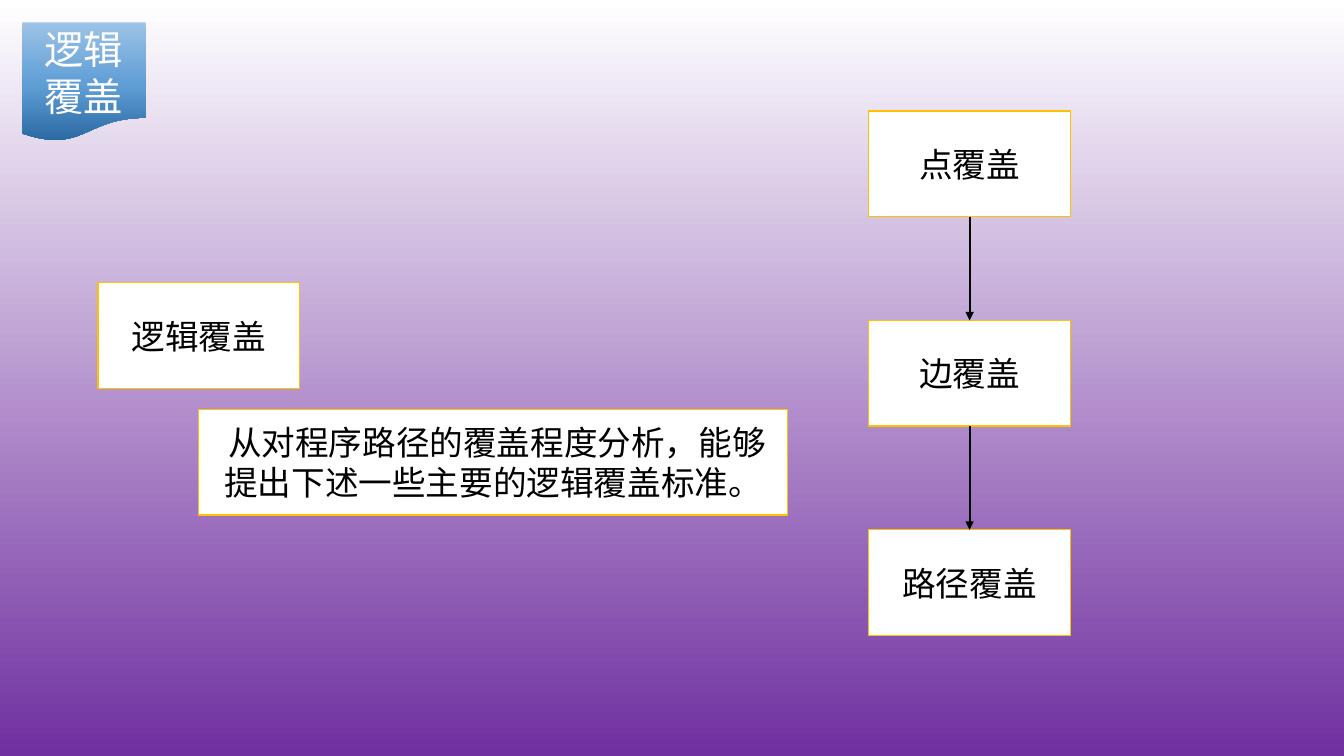
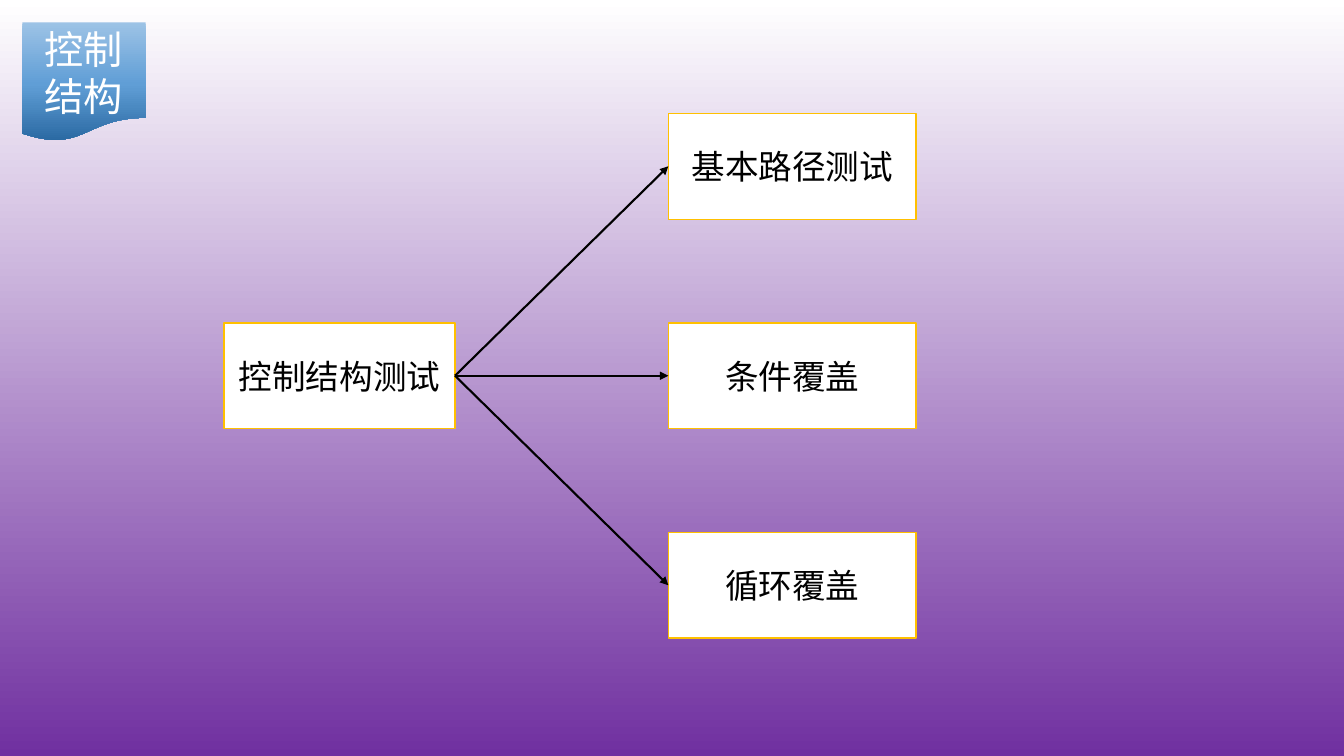
from copy import deepcopy
from dataclasses import dataclass

from pptx import Presentation
from pptx.dml.color import RGBColor
from pptx.dml.fill import FillFormat
from pptx.enum.shapes import MSO_CONNECTOR, MSO_SHAPE
from pptx.enum.text import MSO_ANCHOR, MSO_AUTO_SIZE, PP_ALIGN
from pptx.oxml.ns import qn
from pptx.oxml.xmlchemy import BaseOxmlElement
from pptx.presentation import Presentation as Deck
from pptx.shapes.autoshape import Shape
from pptx.slide import Slide, SlideLayout
from pptx.text.text import TextFrame
from pptx.util import Pt
from lxml import etree

RECTANGLE, DOCUMENT = MSO_SHAPE.RECTANGLE, MSO_SHAPE.FLOWCHART_DOCUMENT
STRAIGHT = MSO_CONNECTOR.STRAIGHT
CENTER, MIDDLE = PP_ALIGN.CENTER, MSO_ANCHOR.MIDDLE
NO_AUTOFIT = MSO_AUTO_SIZE.NONE

WHITE = RGBColor(0xFF, 0xFF, 0xFF)
BLACK = RGBColor(0x00, 0x00, 0x00)
PURPLE = RGBColor(0x70, 0x30, 0xA0)
GOLD = RGBColor(0xFF, 0xC0, 0x00)
LIGHT_BLUE = RGBColor(0x9D, 0xC3, 0xE6)
MID_BLUE = RGBColor(0x60, 0x9E, 0xD6)
DARK_BLUE = RGBColor(0x2A, 0x69, 0xA2)

FONT = "Noto Sans CJK SC"
TITLE_SIZE, BODY_SIZE = 28, 24
LINE_FACTOR = 1.2
BOX_HEIGHT = 75.6
STACK_PITCH = 149.6
TITLE_ONLY = 5
TOP, LEFT, BOTTOM, RIGHT = range(4)  # connection sites of a rectangle


@dataclass(frozen=True)
class Box:
    """A white box with a gold outline; lengths in points."""

    text: str
    left: float
    top: float
    width: float


def stack(texts: list[str], left: float, top: float, width: float) -> list[Box]:
    """Place boxes below one another at an even pitch."""
    return [Box(text, left, top + row * STACK_PITCH, width)
            for row, text in enumerate(texts)]


def shade_down(fill: FillFormat, owner: BaseOxmlElement,
               stops: list[tuple[float, RGBColor]]) -> None:
    """Fill with a gradient whose stops run from top to bottom."""
    fill.gradient()
    fill.gradient_angle = 270
    stop_list = owner.xpath(".//a:gsLst")[0]
    for _ in range(len(stops) - 2):
        stop_list.append(deepcopy(stop_list[0]))
    for stop, (position, color) in zip(fill.gradient_stops, stops):
        stop.position = position
        stop.color.rgb = color


def style_text(frame: TextFrame, text: str, size: int, color: RGBColor) -> None:
    """Write centred text in the deck's font."""
    frame.text = text
    frame.word_wrap = True
    frame.auto_size = NO_AUTOFIT
    frame.vertical_anchor = MIDDLE
    paragraph = frame.paragraphs[0]
    paragraph.alignment = CENTER
    paragraph.line_spacing = Pt(size * LINE_FACTOR)
    font = paragraph.runs[0].font
    font.name, font.size, font.color.rgb = FONT, Pt(size), color
    east_asian = etree.SubElement(paragraph.runs[0]._r.get_or_add_rPr(), qn("a:ea"))
    east_asian.set("typeface", FONT)


def prepare_layout(deck: Deck, first_slide: Slide) -> SlideLayout:
    """Give the master its background and the layout its title ribbon."""
    layout = first_slide.slide_layout
    master = layout.slide_master
    shade_down(master.background.fill, master.element.xpath(".//p:bg")[0],
               [(0, WHITE), (1, PURPLE)])

    ribbon = first_slide.shapes.add_shape(
        DOCUMENT, Pt(16), Pt(16), Pt(88), Pt(85))
    ribbon.shadow.inherit = False
    ribbon.line.fill.background()
    shade_down(ribbon.fill, ribbon.element,
               [(0, LIGHT_BLUE), (0.52, MID_BLUE), (1, DARK_BLUE)])
    ribbon.element.nvSpPr.cNvPr.set("id", "20")
    layout.shapes.element.insert(2, ribbon.element)

    title = layout.placeholders[0]
    title.left, title.top = Pt(16), Pt(17.5)
    title.width, title.height = Pt(88), Pt(68)
    return layout


def add_box(slide: Slide, box: Box) -> Shape:
    """Draw one box with its text."""
    shape = slide.shapes.add_shape(
        RECTANGLE, Pt(box.left), Pt(box.top), Pt(box.width), Pt(BOX_HEIGHT))
    shape.shadow.inherit = False
    shape.fill.solid()
    shape.fill.fore_color.rgb = WHITE
    shape.line.color.rgb = GOLD
    shape.line.width = Pt(1)
    style_text(shape.text_frame, box.text, BODY_SIZE, BLACK)
    return shape


def add_arrow(slide: Slide, source: Shape, source_site: int,
              target: Shape, target_site: int) -> None:
    """Join two boxes with a black arrow."""
    arrow = slide.shapes.add_connector(STRAIGHT, 0, 0, 0, 0)
    arrow.begin_connect(source, source_site)
    arrow.end_connect(target, target_site)
    arrow.line.color.rgb = BLACK
    arrow.line.width = Pt(1.5)
    head = etree.SubElement(arrow.line._get_or_add_ln(), qn("a:tailEnd"))
    head.set("type", "triangle")
    etree.SubElement(arrow.element.spPr, qn("a:effectLst"))


def build_logic_coverage(slide: Slide) -> None:
    """Coverage criteria as a chain from weakest to strongest."""
    style_text(slide.shapes.title.text_frame, "逻辑覆盖", TITLE_SIZE, WHITE)
    add_box(slide, Box("逻辑覆盖", 70, 202, 144))
    criteria = [add_box(slide, box) for box in
                stack(["点覆盖", "边覆盖", "路径覆盖"], 620.6, 79.2, 144)]
    for weaker, stronger in zip(criteria, criteria[1:]):
        add_arrow(slide, weaker, BOTTOM, stronger, TOP)
    add_box(slide, Box(" 从对程序路径的覆盖程度分析，能够提出下述一些主要的逻辑覆盖标准。",
                       142, 292.3, 420.5))


def build_control_structure(slide: Slide) -> None:
    """Control structure testing and its three methods."""
    style_text(slide.shapes.title.text_frame, "控制结构", TITLE_SIZE, WHITE)
    testing = add_box(slide, Box("控制结构测试", 160, 230.6, 165))
    methods = [add_box(slide, box) for box in
               stack(["基本路径测试", "条件覆盖", "循环覆盖"], 477.4, 81, 177)]
    for method in methods:
        add_arrow(slide, testing, RIGHT, method, LEFT)


def main() -> None:
    """Build and save the deck."""
    deck = Presentation()
    deck.slide_width, deck.slide_height = Pt(960), Pt(540)
    logic_slide = deck.slides.add_slide(deck.slide_layouts[TITLE_ONLY])
    layout = prepare_layout(deck, logic_slide)
    build_logic_coverage(logic_slide)
    build_control_structure(deck.slides.add_slide(layout))
    deck.save("out.pptx")


main()
